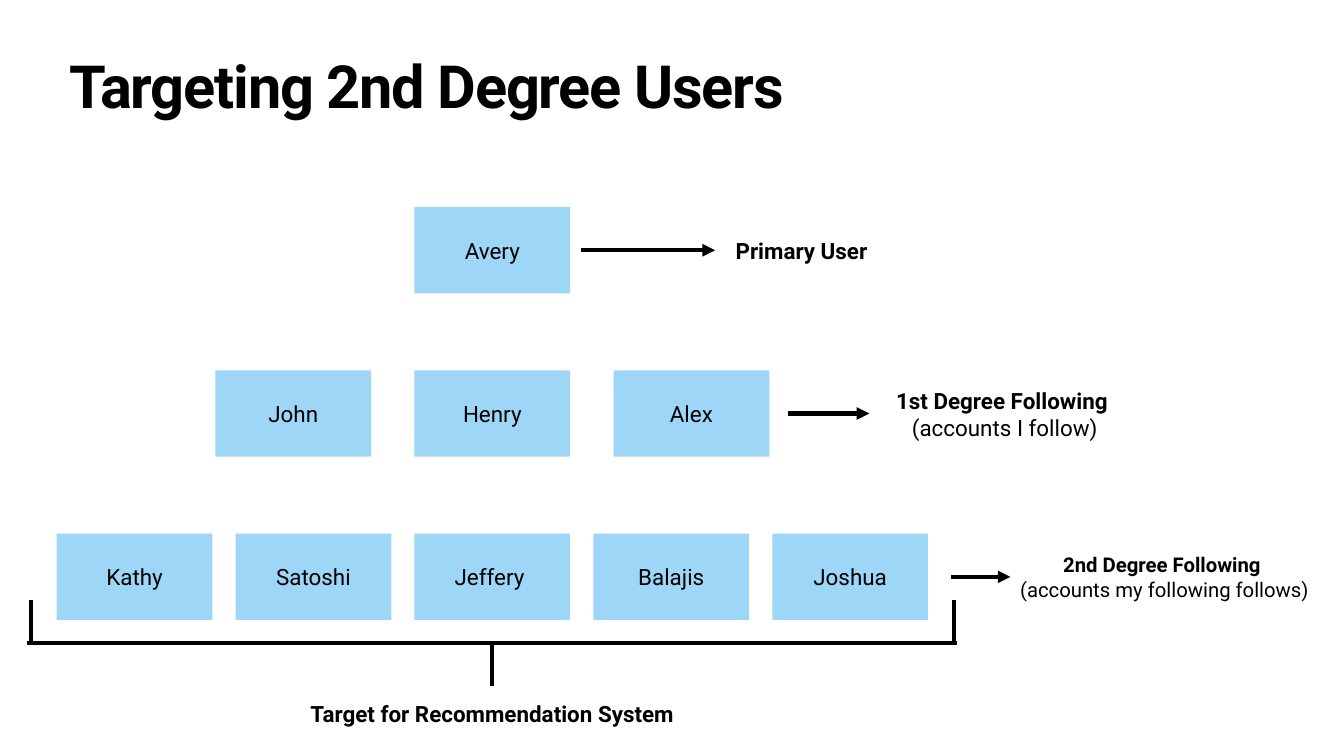
import dataclasses

import pptx
import pptx.dml.color
import pptx.enum.shapes
import pptx.enum.text
import pptx.oxml.ns
import pptx.util
from lxml import etree

Inches = pptx.util.Inches
Pt = pptx.util.Pt
ALIGN = pptx.enum.text.PP_ALIGN
ANCHOR = pptx.enum.text.MSO_ANCHOR


@dataclasses.dataclass(frozen=True)
class Theme:
    font: str = "Roboto"
    ink: pptx.dml.color.RGBColor = pptx.dml.color.RGBColor(0, 0, 0)
    card: pptx.dml.color.RGBColor = pptx.dml.color.RGBColor(0x9E, 0xD6, 0xF8)
    title_size: int = 85
    title_tracking: int = -170  # hundredths of a point
    body_size: int = 32
    small_size: int = 29
    line_width: int = 6
    inset: float = 0.06


THEME = Theme()
CARD_WIDTH, CARD_HEIGHT = 3.09, 1.71
CENTER_X = 9.77
FIRST_ROW_TOP, ROW_PITCH = 4.11, 3.24


def prepare_frame(shape, anchor, wrap=True):
    frame = shape.text_frame
    frame.margin_left = frame.margin_right = Inches(THEME.inset)
    frame.margin_top = frame.margin_bottom = Inches(THEME.inset)
    frame.vertical_anchor = anchor
    frame.word_wrap = wrap
    frame.auto_size = pptx.enum.text.MSO_AUTO_SIZE.NONE
    return frame


def add_run(paragraph, text, size, bold=False, align=ALIGN.CENTER):
    paragraph.alignment = align
    run = paragraph.add_run()
    run.text = text
    run.font.name = THEME.font
    run.font.size = Pt(size)
    run.font.bold = bold
    run.font.color.rgb = THEME.ink
    return run


def add_line(slide, start, end, arrow=False):
    line = slide.shapes.add_connector(
        pptx.enum.shapes.MSO_CONNECTOR.STRAIGHT,
        *(Inches(value) for value in (*start, *end)))
    line.line.color.rgb = THEME.ink
    line.line.width = Pt(THEME.line_width)
    if arrow:
        etree.SubElement(line.line._get_or_add_ln(),
                         pptx.oxml.ns.qn("a:tailEnd"), type="triangle")
    etree.SubElement(line._element.spPr, pptx.oxml.ns.qn("a:effectLst"))


def add_title(slide, text, box):
    title = slide.shapes.title
    title.left, title.top, title.width, title.height = map(Inches, box)
    paragraph = prepare_frame(title, ANCHOR.TOP).paragraphs[0]
    paragraph.line_spacing = 0.8
    run = add_run(paragraph, text, THEME.title_size, True, ALIGN.LEFT)
    run.font._element.set("spc", str(THEME.title_tracking))


def add_label(slide, box, heading, detail=None, size=THEME.body_size):
    """A bold heading with an optional plain line below it."""
    label = slide.shapes.add_textbox(*map(Inches, box))
    frame = prepare_frame(label, ANCHOR.MIDDLE, wrap=False)
    add_run(frame.paragraphs[0], heading, size, bold=True)
    if detail:
        add_run(frame.add_paragraph(), detail, size)


def add_user_row(slide, top, names, pitch, arrow_span):
    """Equal cards centred on the tree axis, then an arrow to the row label."""
    first_left = CENTER_X - CARD_WIDTH / 2 - pitch * (len(names) - 1) / 2
    for index, name in enumerate(names):
        card = slide.shapes.add_shape(
            pptx.enum.shapes.MSO_SHAPE.RECTANGLE,
            Inches(first_left + index * pitch), Inches(top),
            Inches(CARD_WIDTH), Inches(CARD_HEIGHT))
        card.shadow.inherit = False
        card.fill.solid()
        card.fill.fore_color.rgb = THEME.card
        card.line.fill.background()
        frame = prepare_frame(card, ANCHOR.MIDDLE)
        add_run(frame.paragraphs[0], name, THEME.body_size)
    middle = top + CARD_HEIGHT / 2
    start, end = arrow_span
    add_line(slide, (start, middle), (end, middle), arrow=True)


def add_bracket(slide, left, top, width, height):
    """Two arms, a base that overshoots them, and a stem down the middle."""
    right, base, overshoot = left + width, top + height, 0.07
    for x in (left, right):
        add_line(slide, (x, base), (x, top))
    add_line(slide, (left - overshoot, base), (right + overshoot, base))
    add_line(slide, (CENTER_X, base), (CENTER_X, base + height))


def main():
    presentation = pptx.Presentation()
    presentation.slide_width = Inches(26.67)
    presentation.slide_height = Inches(15)
    slide = presentation.slides.add_slide(presentation.slide_layouts[5])

    add_title(slide, "Targeting 2nd Degree Users", (1.32, 1.18, 24.03, 1.57))

    # Tree of users: names, card pitch, arrow span
    rows = [
        (["Avery"], 0, (11.52, 14.19)),
        (["John", "Henry", "Alex"], 3.95, (15.63, 17.25)),
        (["Kathy", "Satoshi", "Jeffery ", "Balajis", "Joshua"], 3.55,
         (18.88, 20.05)),
    ]
    for index, (names, pitch, arrow_span) in enumerate(rows):
        add_user_row(slide, FIRST_ROW_TOP + index * ROW_PITCH, names, pitch,
                     arrow_span)

    # Row labels
    add_label(slide, (14.46, 4.65, 2.89, 0.64), "Primary User")
    add_label(slide, (17.58, 7.62, 4.72, 1.18), "1st Degree Following ",
              "(accounts I follow)")
    add_label(slide, (20.13, 10.91, 5.96, 1.07), "2nd Degree Following ",
              "(accounts my following follows)", THEME.small_size)

    # Target group
    add_bracket(slide, 0.61, 11.91, 18.32, 0.85)
    add_label(slide, (5.9, 13.83, 7.74, 0.64),
              "Target for Recommendation System")

    presentation.save("out.pptx")


if __name__ == "__main__":
    main()
